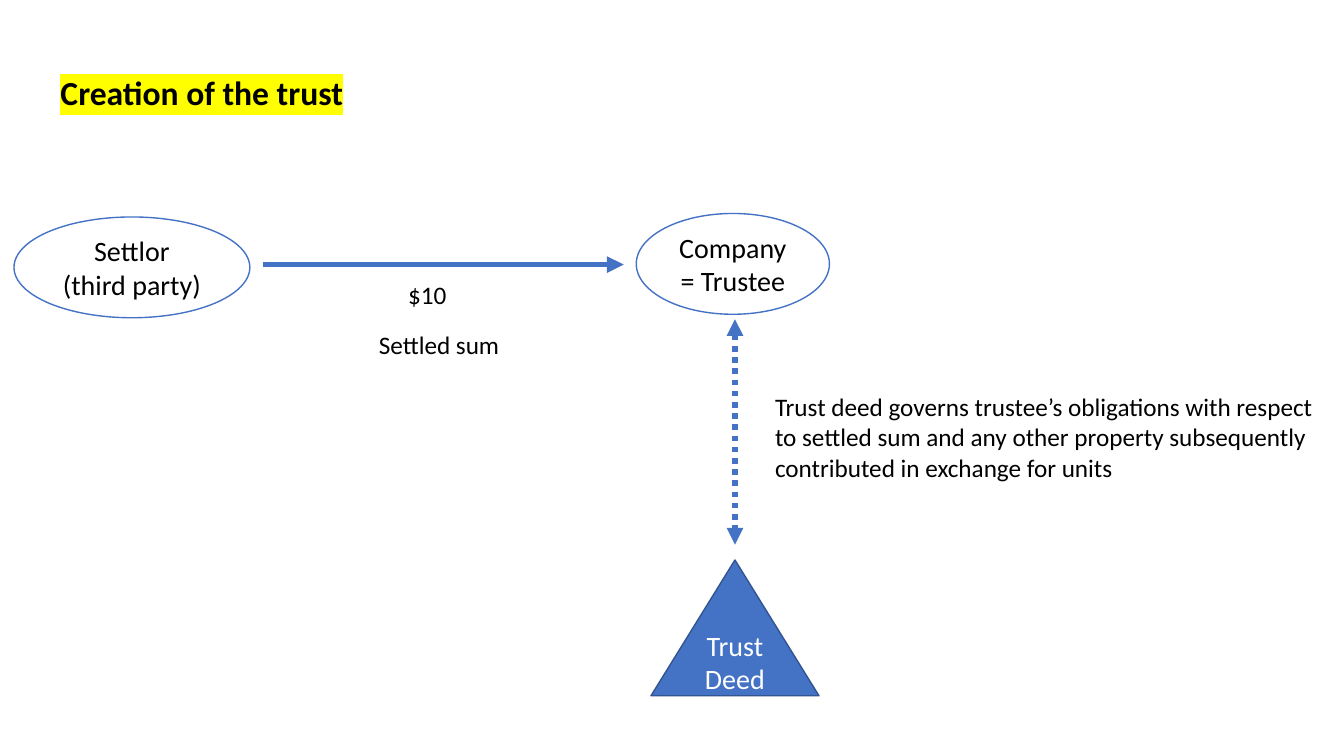
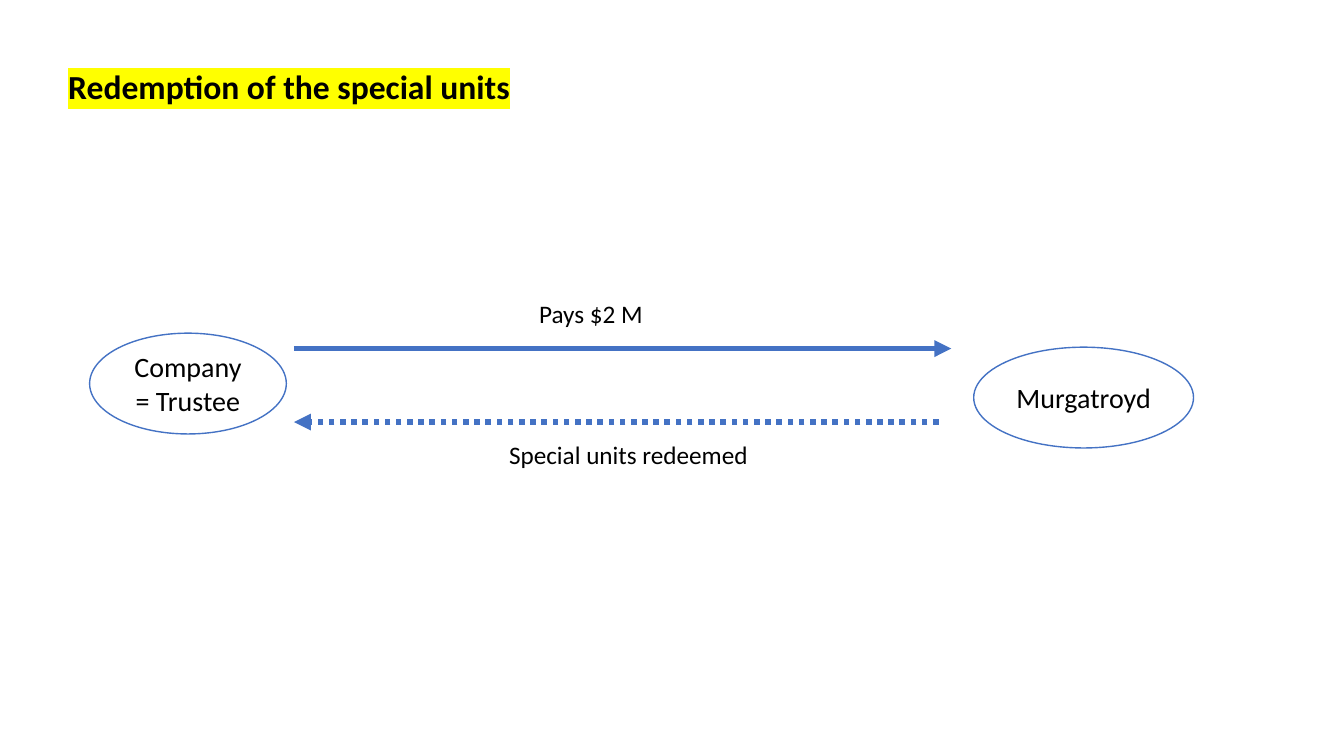
"""Draw two slides on a unit trust: its creation and a redemption."""
from dataclasses import dataclass

from lxml.etree import SubElement
from pptx import Presentation
from pptx.dml.color import RGBColor as Color
from pptx.enum.dml import MSO_LINE as Dash
from pptx.enum.shapes import MSO_CONNECTOR as Link, MSO_SHAPE as Form
from pptx.enum.text import MSO_ANCHOR as Anchor, MSO_AUTO_SIZE as Fit, PP_ALIGN as Align
from pptx.oxml.ns import qn
from pptx.slide import Slide
from pptx.text.text import TextFrame
from pptx.util import Pt


@dataclass(frozen=True)
class Theme:
    font: str = "Calibri"
    black: str = "000000"
    white: str = "FFFFFF"
    blue: str = "4472C4"
    navy: str = "325491"
    yellow: str = "FFFF00"
    head: int = 24
    node: int = 20
    label: int = 18
    thin: int = 1
    thick: int = 4


THEME = Theme()


@dataclass(frozen=True)
class Node:
    text: str
    left: float
    top: float
    width: float
    height: float = 72
    form: Form = Form.OVAL
    fill: str = THEME.white
    line: str = THEME.blue
    ink: str = THEME.black


@dataclass(frozen=True)
class Arrow:
    start: tuple[float, float]
    end: tuple[float, float]
    dotted: bool = False
    double: bool = False


@dataclass(frozen=True)
class Label:
    text: str
    left: float
    top: float
    width: float
    height: float = 29


@dataclass(frozen=True)
class Page:
    title: Label
    nodes: list[Node]
    arrows: list[Arrow]
    labels: list[Label]


PAGES = [
    Page(
        Label("Creation of the trust", 36, 48, 219, 36),
        [
            Node("Settlor\n(third party)", 10, 155, 168.5),
            Node("Company = Trustee", 454.5, 152.5, 138),
            Node("Trust Deed", 465, 400, 120, 97, Form.ISOSCELES_TRIANGLE,
                 THEME.blue, THEME.navy, THEME.white),
        ],
        [
            Arrow((188, 189), (445.5, 189)),
            Arrow((525, 228), (525, 389), dotted=True, double=True),
        ],
        [
            Label("$10", 284.5, 196, 42.5),
            Label("Trust deed governs trustee’s obligations with respect\n"
                  "to settled sum and any other property subsequently\n"
                  "contributed in exchange for units", 546.5, 276, 403, 72.5),
            Label("Settled sum", 263.5, 232, 106),
        ],
    ),
    Page(
        Label("Redemption of the special units", 41.5, 43.5, 333.5, 36),
        [
            Node("Company = Trustee", 64, 238, 140.5),
            Node("Murgatroyd", 695.5, 248, 157),
        ],
        [
            Arrow((210, 249), (679.5, 249)),
            Arrow((670.5, 301.5), (210, 301.5), dotted=True),
        ],
        [
            Label("Pays $2 M", 378, 209.5, 89.5),
            Label("Special units redeemed", 356.5, 310.5, 187),
        ],
    ),
]


def write(frame: TextFrame, text: str, *, size: int, ink: str = THEME.black,
          bold: bool = False, mark: str = "", align: Align = Align.LEFT,
          anchor: Anchor = Anchor.TOP, wrap: bool = False) -> None:
    frame.text = text
    frame.word_wrap = wrap
    frame.auto_size = Fit.NONE if wrap else Fit.SHAPE_TO_FIT_TEXT
    frame.vertical_anchor = anchor
    for para in frame.paragraphs:
        para.alignment = align
        for run in para.runs:
            font = run.font
            font.name, font.size, font.bold = THEME.font, Pt(size), bold
            font.color.rgb = Color.from_string(ink)
            if mark:
                props = run._r.get_or_add_rPr()
                glow = SubElement(props, qn("a:highlight"))
                SubElement(glow, qn("a:srgbClr"), val=mark)
                props.find(qn("a:solidFill")).addnext(glow)


def add_title(slide: Slide, title: Label) -> None:
    shape = slide.shapes.title
    shape.left, shape.top = Pt(title.left), Pt(title.top)
    shape.width, shape.height = Pt(title.width), Pt(title.height)
    write(shape.text_frame, title.text, size=THEME.head, bold=True, mark=THEME.yellow)


def add_node(slide: Slide, node: Node) -> None:
    shape = slide.shapes.add_shape(node.form, Pt(node.left), Pt(node.top),
                                   Pt(node.width), Pt(node.height))
    shape.shadow.inherit = False
    shape.fill.solid()
    shape.fill.fore_color.rgb = Color.from_string(node.fill)
    shape.line.color.rgb = Color.from_string(node.line)
    shape.line.width = Pt(THEME.thin)
    write(shape.text_frame, node.text, size=THEME.node, ink=node.ink,
          align=Align.CENTER, anchor=Anchor.MIDDLE, wrap=True)


def add_arrow(slide: Slide, arrow: Arrow) -> None:
    ends = [Pt(place) for place in arrow.start + arrow.end]
    shape = slide.shapes.add_connector(Link.STRAIGHT, *ends)
    shape.line.color.rgb = Color.from_string(THEME.blue)
    shape.line.width = Pt(THEME.thick)
    if arrow.dotted:
        shape.line.dash_style = Dash.ROUND_DOT
    props = shape.element.spPr
    line = props.find(qn("a:ln"))
    for tip in ("a:headEnd", "a:tailEnd") if arrow.double else ("a:tailEnd",):
        SubElement(line, qn(tip), type="triangle")
    SubElement(props, qn("a:effectLst"))


def add_label(slide: Slide, label: Label) -> None:
    shape = slide.shapes.add_textbox(Pt(label.left), Pt(label.top),
                                     Pt(label.width), Pt(label.height))
    write(shape.text_frame, label.text, size=THEME.label)


def main() -> None:
    deck = Presentation()
    deck.slide_width, deck.slide_height = Pt(960), Pt(540)
    layout = deck.slide_layouts.get_by_name("Title Only")
    for page in PAGES:
        slide = deck.slides.add_slide(layout)
        add_title(slide, page.title)
        for node in page.nodes:
            add_node(slide, node)
        for arrow in page.arrows:
            add_arrow(slide, arrow)
        for label in page.labels:
            add_label(slide, label)
    deck.save("out.pptx")


if __name__ == "__main__":
    main()
